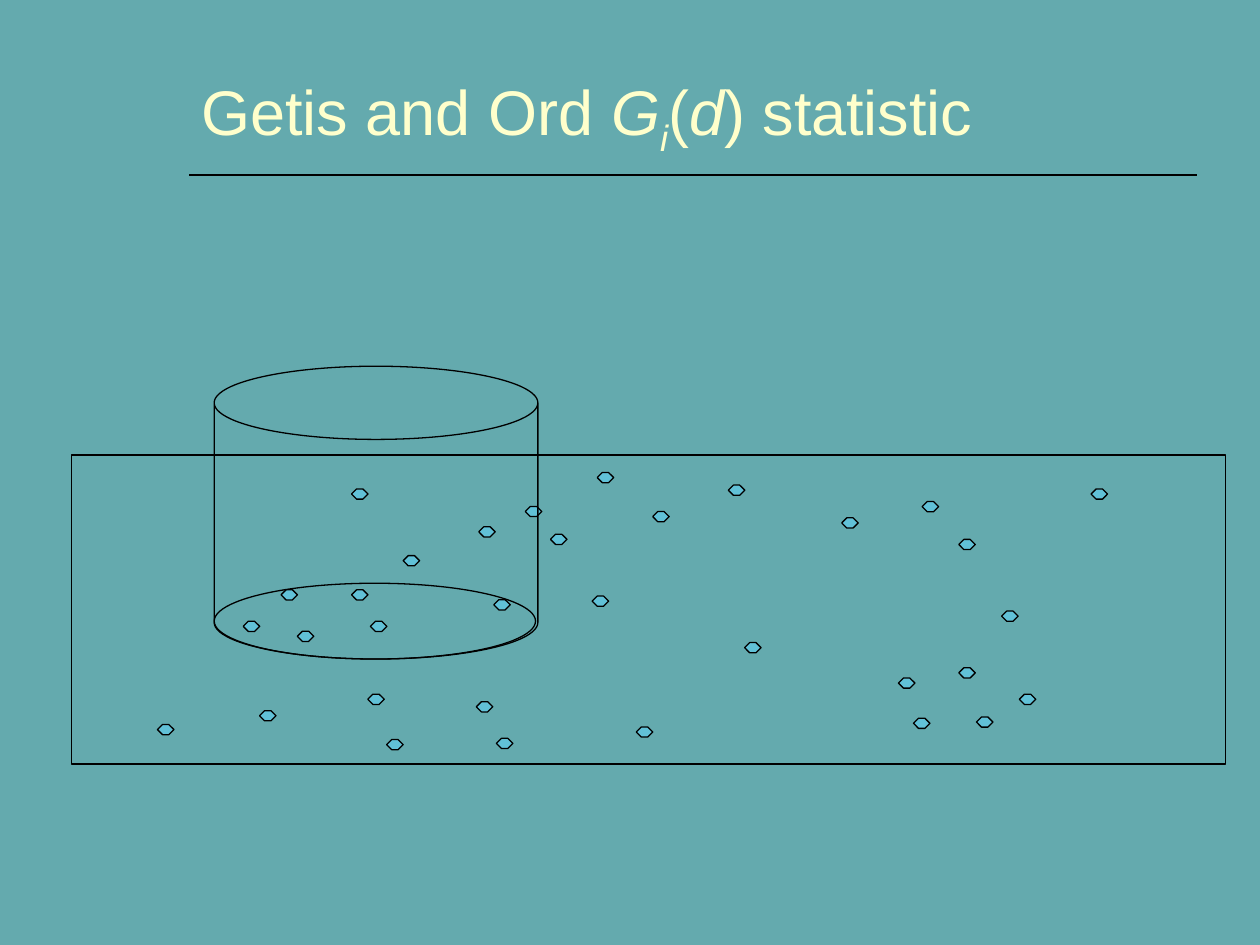
"""Build a slide on the Getis and Ord statistic: a cylinder over a field of points."""
import pptx
import pptx.dml.color
import pptx.enum.shapes
import pptx.enum.text
import pptx.oxml.ns
import pptx.util
from lxml import etree

Pt = pptx.util.Pt
RGBColor = pptx.dml.color.RGBColor
SHAPES = pptx.enum.shapes.MSO_SHAPE

TEAL = RGBColor(0x64, 0xAA, 0xAE)
CREAM = RGBColor(0xFF, 0xFF, 0xCC)
SKY = RGBColor(0x61, 0xC1, 0xD7)
BLACK = RGBColor(0, 0, 0)

POINT_WIDTH, POINT_HEIGHT = 9.4, 5.8
POINTS = [
    (282.2, 342.7), (522, 410.4), (513.4, 387.4), (273.6, 301), (547.9, 308.2),
    (139, 355), (169.9, 360.7), (314.6, 305.3), (527, 286.6), (200.9, 279.4),
    (572.4, 349.2), (623.5, 279.4), (547.9, 381.6), (481, 295.9), (272.2, 401),
    (148.3, 406.1), (90, 414), (558, 409.7), (160.6, 337), (341.3, 270),
    (338.4, 340.6), (416.2, 277.2), (221, 422.6), (363.6, 415.4), (425.5, 367.2),
    (582.5, 396.7), (230.4, 317.5), (300.2, 289.4), (210.2, 396.7), (211.7, 355),
    (200.9, 337), (283.7, 421.9), (373, 292.3),
]


def add_span(para, text, size=36, color=CREAM, font="Arial", italic=False, baseline=0):
    span = para.add_run()
    span.text = text
    span.font.size = Pt(size)
    span.font.name = font
    span.font.italic = italic
    span.font.color.rgb = color
    if baseline:
        span.font._element.set("baseline", str(baseline * 1000))


def add_outline(page, kind, left, top, width, height, fill=None, adjust=None):
    shape = page.shapes.add_shape(kind, Pt(left), Pt(top), Pt(width), Pt(height))
    shape.shadow.inherit = False
    shape.line.color.rgb = BLACK
    shape.line.width = Pt(0.75)
    if fill is None:
        shape.fill.background()
    else:
        shape.fill.solid()
        shape.fill.fore_color.rgb = fill
    if adjust is not None:
        shape.adjustments[0] = adjust


deck = pptx.Presentation()
deck.slide_width, deck.slide_height = Pt(720), Pt(540)
page = deck.slides.add_slide(deck.slide_layouts[6])
page.background.fill.solid()
page.background.fill.fore_color.rgb = TEAL

rule = page.shapes.add_connector(
    pptx.enum.shapes.MSO_CONNECTOR.STRAIGHT, Pt(108), Pt(100), Pt(684), Pt(100))
rule.line.color.rgb = BLACK
rule.line.width = Pt(1)
etree.SubElement(rule._element.spPr, pptx.oxml.ns.qn("a:effectLst"))

title = page.shapes.add_textbox(Pt(108), Pt(4.3), Pt(576), Pt(90)).text_frame
title.word_wrap = True
title.vertical_anchor = pptx.enum.text.MSO_ANCHOR.BOTTOM
para = title.paragraphs[0]
add_span(para, "Getis and Ord ")
add_span(para, "G", italic=True)
add_span(para, "i", italic=True, baseline=-25)
add_span(para, "(")
add_span(para, "d", italic=True)
add_span(para, ") statistic")

add_outline(page, SHAPES.PARALLELOGRAM, 41, 260, 659.5, 176.5, adjust=0)
for left, top in POINTS:
    add_outline(page, SHAPES.OCTAGON, left, top, POINT_WIDTH, POINT_HEIGHT,
                fill=SKY, adjust=0.5)
add_outline(page, SHAPES.CAN, 122.4, 209.3, 185, 167.3, adjust=0.25)
add_outline(page, SHAPES.OVAL, 122.4, 333.3, 183.6, 43.3)

deck.save("out.pptx")
